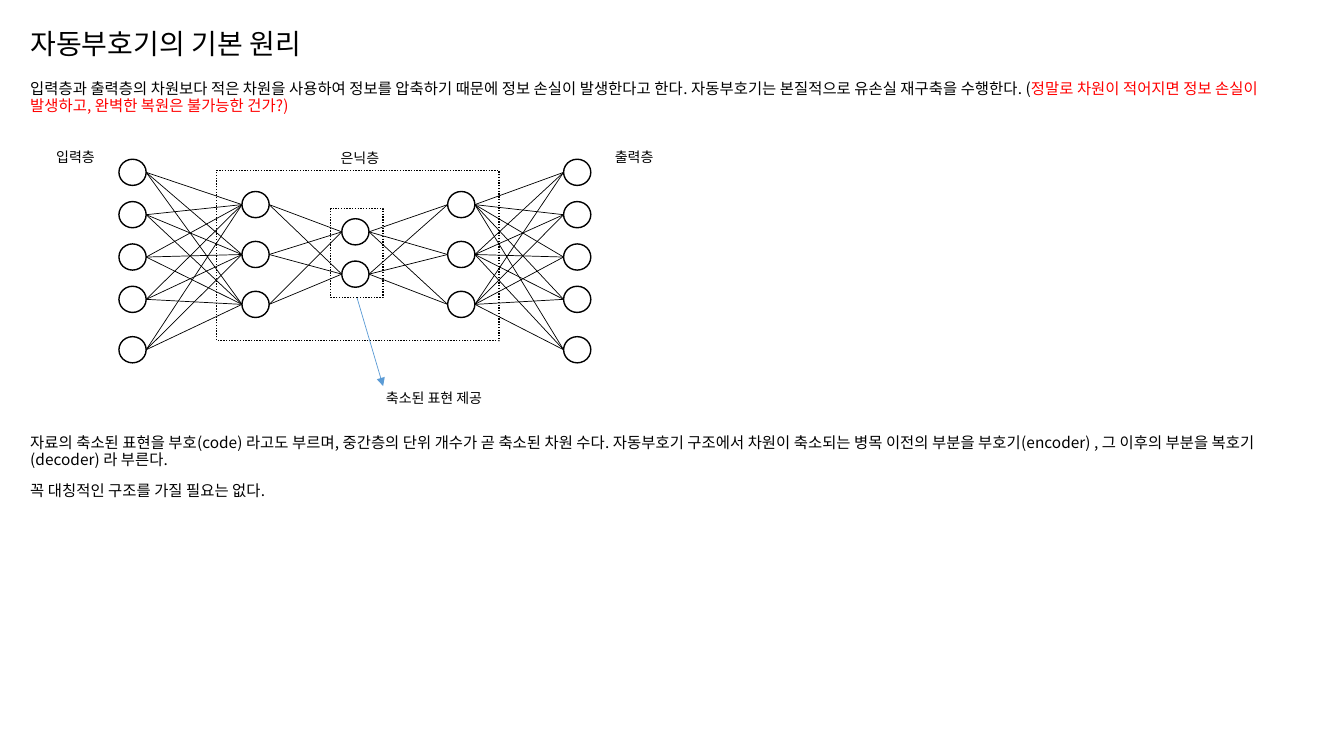
from itertools import product
from lxml import etree
from pptx import Presentation
from pptx import util as u
from pptx.dml.color import RGBColor
from pptx.enum import dml, shapes, text
from pptx.oxml.ns import qn

FONT = "Noto Sans CJK KR"
BLACK, RED, BLUE = "000000", "FF0000", "5B9BD5"
NODE_W, NODE_H = 0.27, 0.26


def color(hex_string):
    return RGBColor.from_string(hex_string)


def write(paragraph, words, size, hex_string=BLACK):
    """Add one run in the slide's font, for Latin and Korean alike."""
    paragraph.line_spacing = 0.9
    paragraph.alignment = text.PP_ALIGN.LEFT
    run = paragraph.add_run()
    run.text = words
    run.font.size = u.Pt(size)
    run.font.name = FONT
    run.font.color.rgb = color(hex_string)
    etree.SubElement(run.font._element, qn("a:ea"), typeface=FONT)


deck = Presentation()
deck.slide_width, deck.slide_height = u.Inches(13.33), u.Inches(7.5)
slide = deck.slides.add_slide(deck.slide_layouts[1])

# Title and body placeholders
title, body = slide.shapes.title, slide.placeholders[1]
for holder, box in ((title, (0.2, 0.25, 4.05, 0.52)), (body, (0.2, 0.76, 12.85, 6.3))):
    holder.left, holder.top, holder.width, holder.height = map(u.Inches, box)
    holder.text_frame.vertical_anchor = text.MSO_ANCHOR.TOP
    holder.text_frame.auto_size = text.MSO_AUTO_SIZE.NONE
    holder.text_frame.word_wrap = True
write(title.text_frame.paragraphs[0], "자동부호기의 기본 원리", 20)

# Body: the second paragraph leaves room for the diagram
body_paragraphs = [
    (0, [("입력층과 출력층의 차원보다 적은 차원을 사용하여 정보를 압축하기 때문에 정보 손실이 "
          "발생한다고 한다. 자동부호기는 본질적으로 유손실 재구축을 수행한다. (", BLACK),
         ("정말로 차원이 적어지면 정보 손실이 발생하고, 완벽한 복원은 불가능한 건가?)", RED)]),
    (229, [("자료의 축소된 표현을 부호(code) 라고도 부르며, 중간층의 단위 개수가 곧 축소된 차원 수다. "
            "자동부호기 구조에서 차원이 축소되는 병목 이전의 부분을 부호기(encoder) , "
            "그 이후의 부분을 복호기(decoder) 라 부른다.", BLACK)]),
    (10, [("꼭 대칭적인 구조를 가질 필요는 없다.", BLACK)]),
]
for index, (space, runs) in enumerate(body_paragraphs):
    frame = body.text_frame
    paragraph = frame.add_paragraph() if index else frame.paragraphs[0]
    properties = paragraph._p.get_or_add_pPr()
    properties.set("marL", "0")
    properties.set("indent", "0")
    etree.SubElement(properties, qn("a:buNone"))
    paragraph.space_before = u.Pt(space)
    for words, hex_string in runs:
        write(paragraph, words, 11, hex_string)

# Layers: left edge and the centre heights of their nodes
outer = [1.71 + 0.42 * row for row in range(4)] + [3.47]
middle = [2.03 + 0.495 * row for row in range(3)]
code = [2.3, 2.72]
layers = [(1.18, outer), (2.4, middle), (3.39, code), (4.44, middle), (5.59, outer)]

# Every node is linked to every node of the next layer
links = [(left + NODE_W, y, next_left, next_y)
         for (left, ys), (next_left, next_ys) in zip(layers, layers[1:])
         for y, next_y in product(ys, next_ys)]
arrow_ends = (3.54, 2.95, 3.8, 3.83)
for ends in links + [arrow_ends]:
    link = slide.shapes.add_connector(shapes.MSO_CONNECTOR.STRAIGHT, *map(u.Inches, ends))
    link.line.width = u.Pt(0.5)
    link.line.color.rgb = color(BLUE if ends is arrow_ends else BLACK)
    etree.SubElement(link._element.spPr, qn("a:effectLst"))
arrow = link
etree.SubElement(arrow.line._get_or_add_ln(), qn("a:tailEnd"), type="triangle")

# Nodes, then the dotted frames of the hidden layers and the code
nodes = [(left, y - NODE_H / 2, NODE_W, NODE_H) for left, ys in layers for y in ys]
frames = [(2.15, 1.69, 2.8, 1.69), (3.28, 2.07, 0.52, 0.88)]
for box in nodes + frames:
    dotted = box in frames
    kind = shapes.MSO_SHAPE.RECTANGLE if dotted else shapes.MSO_SHAPE.OVAL
    outline = slide.shapes.add_shape(kind, *map(u.Inches, box))
    outline.shadow.inherit = False
    outline.fill.background()
    outline.line.color.rgb = color(BLACK)
    outline.line.width = u.Pt(1)
    if dotted:
        outline.line.dash_style = dml.MSO_LINE.ROUND_DOT
code_frame = outline
arrow.begin_connect(code_frame, 2)

# Labels
for words, box in (("입력층", (0.46, 1.44, 0.63, 0.27)),
                   ("은닉층", (3.28, 1.45, 0.63, 0.27)),
                   ("출력층", (6, 1.44, 0.63, 0.27)),
                   ("축소된 표현 제공", (3.73, 3.83, 1.37, 0.31))):
    label = slide.shapes.add_textbox(*map(u.Inches, box))
    label.text_frame.word_wrap = True
    write(label.text_frame.paragraphs[0], words, 10)

deck.save("out.pptx")
